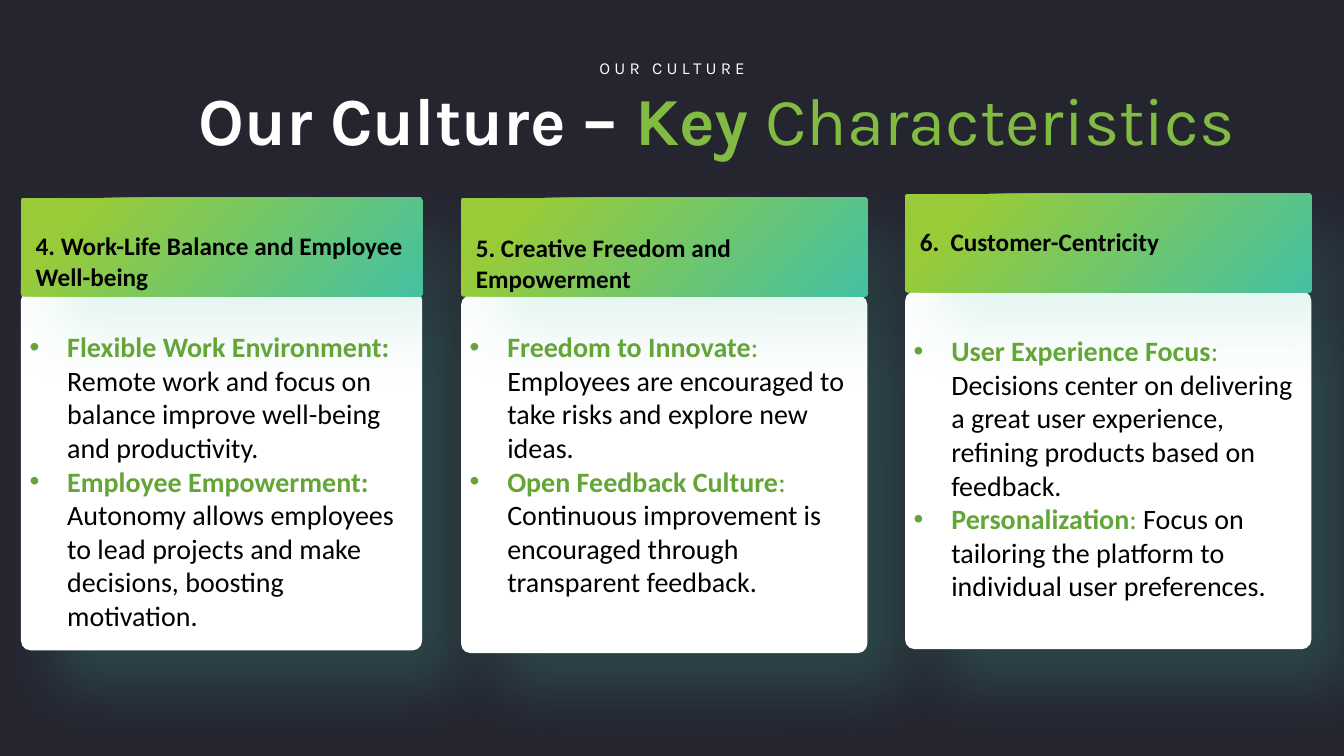
"""Build the key characteristics slide about company culture."""
from lxml import etree
from pptx import Presentation
from pptx import util as u
from pptx.dml import color
from pptx.enum import shapes, text
from pptx.oxml import ns, parse_xml

WHITE, BLACK, TEAL, LIME = "FFFFFF", "000000", "44C1A3", "99CB38"
TITLE_GREEN, LABEL_GREEN = "81BB41", "63A537"

CARDS = [
    {"box": (0.53, 4.98, 10.11), "body": (2.34, 9.07), "heading_dy": 0.02, "list_dy": 3.2,
     "heading": "4. Work-Life Balance and Employee Well-being",
     "items": [
         [("Flexible Work Environment: ", LABEL_GREEN, True),
          ("Remote work and focus on balance improve well-being and productivity.", BLACK, False)],
         [("Employee Empowerment:", LABEL_GREEN, True),
          (" Autonomy allows employees to lead projects and make decisions, boosting motivation.",
           BLACK, False)]]},
    {"box": (11.62, 4.98, 10.24), "body": (2.46, 9.02), "heading_dy": 0.07, "list_dy": 3.2,
     "heading": "5. Creative Freedom and Empowerment",
     "items": [
         [("Freedom to Innovate", LABEL_GREEN, True), (":", LABEL_GREEN, False),
          (" Employees are encouraged to take risks and explore new ideas.", BLACK, False)],
         [("Open Feedback Culture", LABEL_GREEN, True), (":", LABEL_GREEN, False),
          (" Continuous improvement is encouraged through transparent feedback.", BLACK, False)]]},
    {"box": (22.81, 4.88, 10.24), "body": (2.46, 9.02), "heading_dy": -0.37, "list_dy": 3.4,
     "heading": "6.  Customer-Centricity",
     "items": [
         [("User Experience Focus", LABEL_GREEN, True), (":", LABEL_GREEN, False),
          (" Decisions center on delivering a great user experience, "
           "refining products based on feedback.", BLACK, False)],
         [("Personalization", LABEL_GREEN, True), (":", LABEL_GREEN, False),
          (" Focus on tailoring the platform to individual user preferences.", BLACK, False)]]},
]


def rgb(value):
    """Return the colour for a hex string."""
    return color.RGBColor.from_string(value)


def add_xml(parent, tag, **attributes):
    """Append a DrawingML element to a parent and return it."""
    return etree.SubElement(parent, ns.qn(f"a:{tag}"),
                            {name: str(value) for name, value in attributes.items()})


def add_runs(p, runs, font, size):
    """Add (text, colour, bold) runs to a paragraph."""
    for words, hue, bold in runs:
        r = p.add_run()
        r.text = words
        r.font.name, r.font.size, r.font.bold = font, u.Pt(size), bold
        r.font.color.rgb = rgb(hue)


def place(sp, x, y, w, h):
    """Move a text shape to a box in centimetres and prepare its frame."""
    sp.left, sp.top, sp.width, sp.height = u.Cm(x), u.Cm(y), u.Cm(w), u.Cm(h)
    tf = sp.text_frame
    tf.word_wrap = True
    tf.auto_size = text.MSO_AUTO_SIZE.SHAPE_TO_FIT_TEXT
    tf.vertical_anchor = text.MSO_ANCHOR.TOP
    return tf


def add_panel(s, x, y, w, h, corner):
    """Add a rounded rectangle with no fill, line or shadow."""
    sp = s.shapes.add_shape(shapes.MSO_SHAPE.ROUNDED_RECTANGLE, u.Cm(x), u.Cm(y), u.Cm(w), u.Cm(h))
    sp.adjustments[0] = corner
    sp.fill.background()
    sp.line.fill.background()
    sp.shadow.inherit = False
    return sp


def add_glow(sp, opacity):
    """Give a panel a soft teal shadow towards the lower right."""
    effects = sp._element.spPr.find(ns.qn("a:effectLst"))
    shadow = add_xml(effects, "outerShdw", blurRad=u.Pt(44), dist=u.Pt(36), dir=2700000,
                     algn="tl", rotWithShape=0)
    add_xml(add_xml(shadow, "srgbClr", val=TEAL), "alpha", val=opacity * 1000)


def fill_radial(sp):
    """Fill a panel from teal at the lower right corner to lime."""
    sp.fill.gradient()
    for stop, hue, position in zip(sp.fill.gradient_stops, (TEAL, LIME), (0, 0.85)):
        stop.color.rgb = rgb(hue)
        stop.position = position
    grad = sp._element.spPr.find(ns.qn("a:gradFill"))
    grad.remove(grad.find(ns.qn("a:lin")))
    add_xml(add_xml(grad, "path", path="circle"), "fillToRect", l=100000, t=100000)


def add_header(s, x, y, w):
    """Place the title and the small line above it."""
    tf = place(s.shapes.title, x, y + 0.53, w, 2.31)
    p = tf.paragraphs[0]
    p.alignment = text.PP_ALIGN.CENTER
    add_runs(p, [("Our Culture – ", WHITE, True), ("Key ", TITLE_GREEN, True),
                 ("Characteristics", TITLE_GREEN, False)], "Karla", 48)

    kicker = s.shapes.add_textbox(0, 0, 0, 0)
    p = place(kicker, x + 6.4, y, 12.6, 0.76).paragraphs[0]
    p.alignment = text.PP_ALIGN.CENTER
    add_runs(p, [("OUR CULTURE", WHITE, False)], "Karla", 12)
    p.runs[0]._r.get_or_add_rPr().set("spc", "300")


def add_list(s, sp, items, x, y, w):
    """Place a bulleted list in a body placeholder, in front of its card."""
    s.shapes._spTree.append(sp._element)
    tf = place(sp, x, y, w, 7.95)
    for i, runs in enumerate(items):
        p = tf.add_paragraph() if i else tf.paragraphs[0]
        props = p._p.get_or_add_pPr()
        props.set("marL", str(u.Cm(0.95)))
        props.set("indent", str(u.Cm(-0.95)))
        add_xml(props, "buFont", typeface="Arial")
        add_xml(props, "buChar", char="•")
        add_xml(add_xml(props, "tabLst"), "tab", pos=u.Cm(1.27), algn="l")
        p.space_before = u.Pt(0)
        add_runs(p, runs, "Calibri", 20)


def add_card(s, sp, card):
    """Place one card: white body, gradient band, heading and list."""
    x, y, w = card["box"]
    body_dy, body_h = card["body"]
    body = add_panel(s, x, y + body_dy, w, body_h, 0.027)
    body.fill.solid()
    body.fill.fore_color.rgb = rgb(WHITE)
    add_glow(body, 22)

    band = add_panel(s, x, y, w, 2.49, 0.027)
    fill_radial(band)
    add_glow(band, 15)

    heading = add_panel(s, x, y + card["heading_dy"], w, 3.15, 0.132)
    tf = heading.text_frame
    tf.word_wrap = True
    tf.vertical_anchor = text.MSO_ANCHOR.MIDDLE
    p = tf.paragraphs[0]
    p.alignment = text.PP_ALIGN.LEFT
    add_runs(p, [(card["heading"], BLACK, True)], "Calibri", 18)

    add_list(s, sp, card["items"], x - 0.04, y + card["list_dy"], 10.29)


def main():
    """Build and save the slide."""
    prs = Presentation()
    prs.slide_width, prs.slide_height = u.Cm(33.87), u.Cm(19.05)
    s = prs.slides.add_slide(prs.slide_layouts.get_by_name("Comparison"))
    s.background.fill.solid()
    s.background.fill.fore_color.rgb = rgb("252530")

    add_header(s, 4.24, 1.32, 27.66)
    *lists, spare = [sp for sp in s.placeholders if sp.placeholder_format.idx]
    spare._element.getparent().remove(spare._element)
    for sp, card in zip(lists, CARDS):
        add_card(s, sp, card)
    prs.save("out.pptx")


if __name__ == "__main__":
    main()
